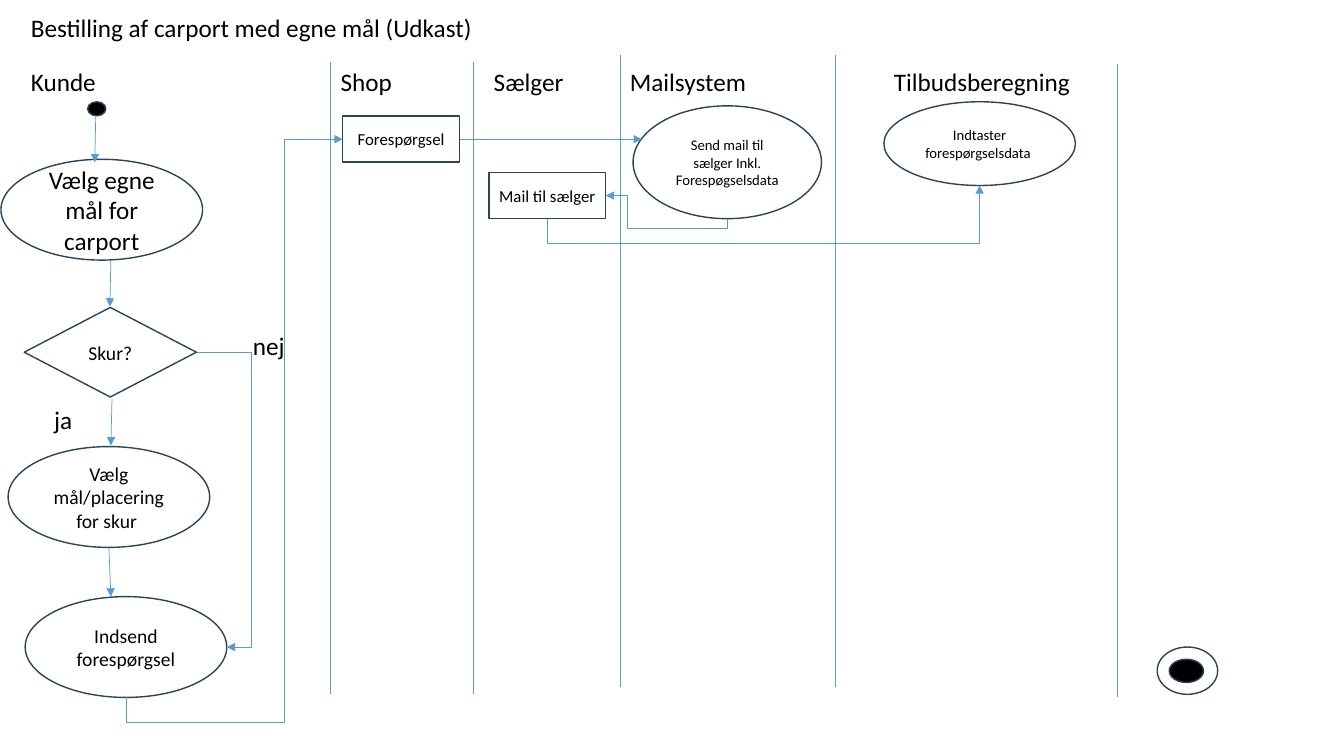
from lxml import etree
from pptx import Presentation
from pptx import util as u
from pptx.dml.color import RGBColor
from pptx.enum import shapes, text
from pptx.oxml import ns

BLACK = RGBColor(0x00, 0x00, 0x00)
OUTLINE = RGBColor(0x28, 0x44, 0x5D)
FLOW = RGBColor(0x5B, 0x9B, 0xD5)

OVAL = shapes.MSO_SHAPE.OVAL
DIAMOND = shapes.MSO_SHAPE.DIAMOND
BOX = shapes.MSO_SHAPE.RECTANGLE


class Diagram:
    """Draws activity diagram elements; all lengths are in points."""

    font = "Calibri"

    def __init__(self, slide):
        self.slide = slide

    def set_words(self, shape, words, size, wrap=True):
        frame = shape.text_frame
        frame.text = words
        frame.word_wrap = wrap
        for run in frame.paragraphs[0].runs:
            run.font.name = self.font
            run.font.size = u.Pt(size)
            run.font.color.rgb = BLACK
        return frame

    def label(self, words, left, top, width, wrap=True):
        shape = self.slide.shapes.add_textbox(
            u.Pt(left), u.Pt(top), u.Pt(width), u.Pt(29))
        frame = self.set_words(shape, words, 18, wrap)
        frame.auto_size = text.MSO_AUTO_SIZE.SHAPE_TO_FIT_TEXT

    def node(self, kind, left, top, width, height, words="", size=14, fill=None):
        shape = self.slide.shapes.add_shape(
            kind, u.Pt(left), u.Pt(top), u.Pt(width), u.Pt(height))
        shape.shadow.inherit = False
        shape.line.color.rgb = OUTLINE
        shape.line.width = u.Pt(1)
        if fill is None:
            shape.fill.background()
        else:
            shape.fill.solid()
            shape.fill.fore_color.rgb = fill
        if words:
            frame = self.set_words(shape, words, size)
            frame.vertical_anchor = text.MSO_ANCHOR.MIDDLE
            frame.paragraphs[0].alignment = text.PP_ALIGN.CENTER

    def line(self, start, end, arrow=True, kind=shapes.MSO_CONNECTOR.STRAIGHT):
        connector = self.slide.shapes.add_connector(
            kind, *(u.Pt(value) for value in (*start, *end)))
        connector.line.color.rgb = FLOW
        connector.line.width = u.Pt(0.5)
        properties = connector._element.spPr
        if arrow:
            etree.SubElement(properties.find(ns.qn("a:ln")),
                             ns.qn("a:tailEnd"), type="triangle")
        etree.SubElement(properties, ns.qn("a:effectLst"))
        return connector

    def elbow(self, start, end, bends, turned=False):
        """Bends are thousandths of the extent; turned leaves vertically."""
        if turned:
            # Rotate both ends back by 90 degrees around their midpoint.
            x, y = ((a + b) / 2 for a, b in zip(start, end))
            start, end = ((x + py - y, y - px + x) for px, py in (start, end))
        connector = self.line(start, end, kind=shapes.MSO_CONNECTOR.ELBOW)
        properties = connector._element.spPr
        if turned:
            properties.find(ns.qn("a:xfrm")).set("rot", str(90 * 60000))
        geometry = properties.find(ns.qn("a:prstGeom"))
        geometry.set("prst", f"bentConnector{len(bends) + 2}")
        guides = geometry.find(ns.qn("a:avLst"))
        for number, bend in enumerate(bends, 1):
            etree.SubElement(guides, ns.qn("a:gd"), name=f"adj{number}",
                             fmla=f"val {bend * 100}")


def main():
    presentation = Presentation()
    presentation.slide_width = u.Pt(960)
    presentation.slide_height = u.Pt(540)
    slide = presentation.slides.add_slide(presentation.slide_layouts[6])
    diagram = Diagram(slide)

    # Swimlane dividers
    for x, top in ((236.2, 44), (338.4, 44), (442.8, 39), (597, 39), (797.8, 46)):
        diagram.line((x, top), (x, top + 452), arrow=False)

    # Title and lane headings
    diagram.label("Bestilling af carport med egne mål (Udkast)", 15, 5, 427)
    for words, left, width in (
        ("Kunde", 15, 114.5),
        ("Shop", 236.2, 114.5),
        ("Sælger", 345.6, 72),
        ("Mailsystem", 442.8, 114.5),
        ("Tilbudsberegning", 631.4, 147.6),
    ):
        diagram.label(words, left, 44, width)

    # Answers at the decision
    diagram.label("ja", 31.7, 285, 28, wrap=False)
    diagram.label("nej", 173.5, 232.6, 37.4, wrap=False)

    # Start and end markers
    diagram.node(OVAL, 62.6, 72.7, 13, 10, fill=BLACK)
    diagram.node(OVAL, 826.6, 462.2, 43.2, 33.8)
    diagram.node(OVAL, 835.2, 470.9, 24.5, 16.6, fill=BLACK)

    # Customer steps
    for words, left, top, size in (
        ("Vælg egne mål for carport", 0.7, 113.8, 18),
        ("Vælg mål/placering for skur ", 5.8, 319, 14),
        ("Indsend forespørgsel", 18, 426.2, 14),
    ):
        diagram.node(OVAL, left, top, 144, 72, words, size)
    diagram.node(DIAMOND, 17.3, 219.6, 123, 64, "Skur?")

    # Messages and system steps
    diagram.node(BOX, 244.8, 82.8, 83.5, 33, "Forespørgsel", 12)
    diagram.node(BOX, 349.2, 123.1, 83.5, 33, "Mail til sælger", 12)
    diagram.node(OVAL, 452.2, 75.6, 134.6, 80.6,
                 "Send mail til sælger Inkl. Forespøgselsdata", 10.5)
    diagram.node(OVAL, 631.4, 72.7, 136.8, 59.8,
                 "Indtaster forespørgselsdata ", 10.5)

    # Straight arrows
    for start, end in (
        ((68.4, 82.8), (67.7, 116)),
        ((79.2, 185.8), (78.5, 219)),
        ((80, 285), (79.2, 318.2)),
        ((77.8, 391), (79.2, 426.2)),
        ((328.3, 99.4), (458.6, 99.4)),
    ):
        diagram.line(start, end)

    # Bent arrows
    diagram.elbow((140.4, 252), (162, 462.2), [1820])
    diagram.elbow((90, 498.2), (244.8, 99.4), [-45, 733], turned=True)
    diagram.elbow((519.8, 156.2), (432.7, 139.7), [-427, 825], turned=True)
    diagram.elbow((391, 156.2), (699.8, 132.5), [-754], turned=True)

    presentation.save("out.pptx")


if __name__ == "__main__":
    main()
